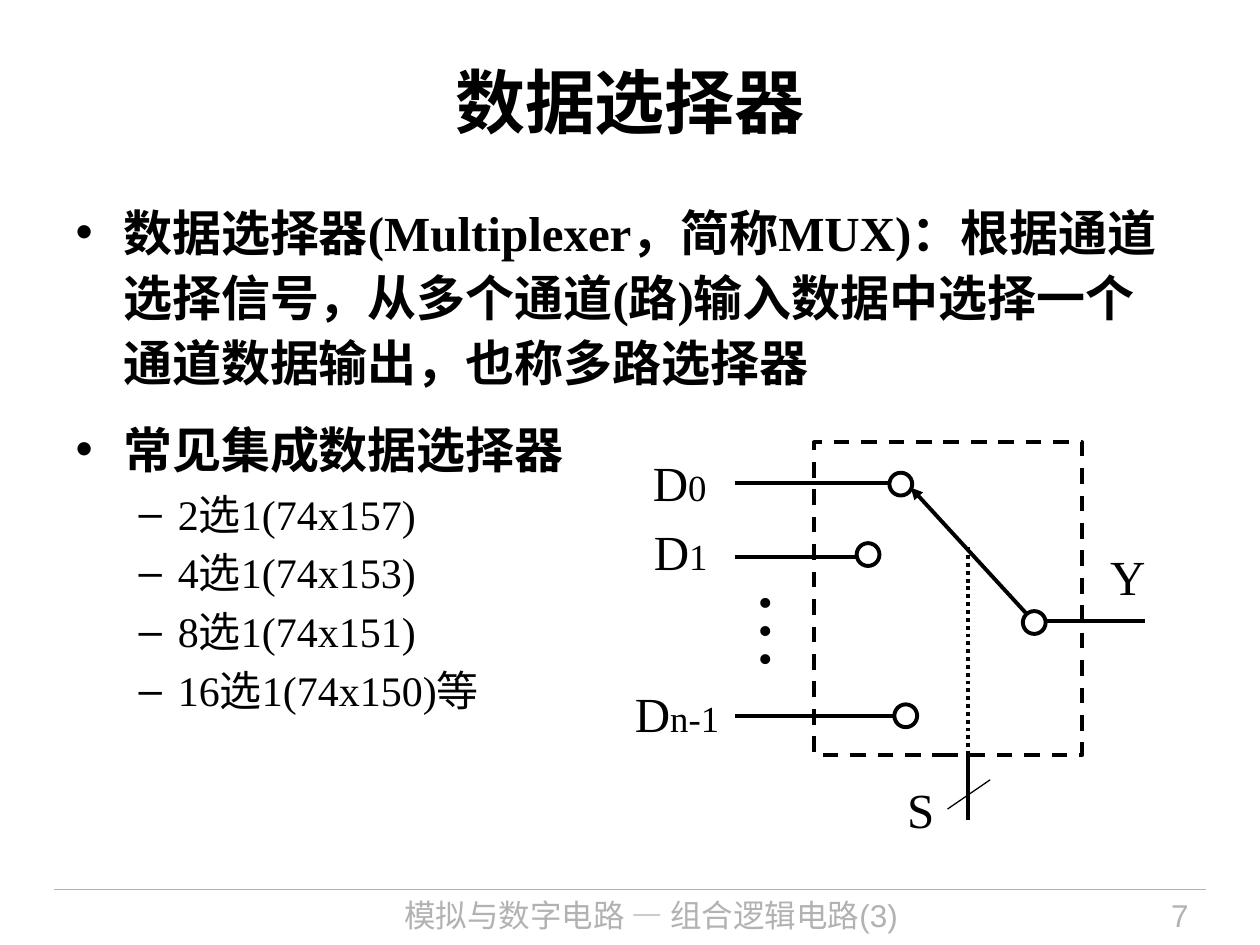
from dataclasses import dataclass

from pptx import Presentation
from pptx.dml.color import RGBColor
from pptx.enum import dml, shapes, text
from pptx.oxml import ns, xmlchemy
from pptx.util import Cm, Pt


@dataclass(frozen=True)
class Theme:
    """Colours, fonts, type sizes and line widths of the slide."""
    ink: RGBColor = RGBColor(0, 0, 0)
    paper: RGBColor = RGBColor(255, 255, 255)
    muted: RGBColor = RGBColor(0xB2, 0xB2, 0xB2)
    sans: str = "Arial"
    serif: str = "Times New Roman"
    title: int = 40
    body: int = 28
    item: int = 24
    index: int = 21
    footer: int = 18
    dots: int = 48
    thick: float = 2.25
    thin: float = 0.75


T = Theme()
NODE = 0.46


def element(parent, tag, **attrs):
    """Append a DrawingML element to a parent and return it."""
    e = xmlchemy.OxmlElement(tag)
    for name, value in attrs.items():
        e.set(name, value)
    parent.append(e)
    return e


def place(s, left, top, width, height):
    """Set the position and size of a shape in centimetres."""
    s.left, s.top, s.width, s.height = Cm(left), Cm(top), Cm(width), Cm(height)


def add_run(p, words, size=T.body, font=T.serif, color=T.ink, bold=False):
    """Add a formatted run to a paragraph."""
    r = p.add_run()
    r.text = words
    r.font.size, r.font.name, r.font.bold = Pt(size), font, bold
    r.font.color.rgb = color
    return r


def add_text(sp, box, words, align=text.PP_ALIGN.LEFT, wrap=True, inset=None, **fmt):
    """Add a text box holding one formatted run and return it."""
    s = sp.add_textbox(*(Cm(v) for v in box))
    tf = s.text_frame
    tf.word_wrap = wrap
    if inset is not None:
        tf.margin_left = tf.margin_top = tf.margin_right = tf.margin_bottom = Cm(inset)
    p = tf.paragraphs[0]
    p.alignment = align
    add_run(p, words, **fmt)
    return s


def add_line(sp, start, end, width=T.thick, color=T.ink, dash=None, arrow=False):
    """Add a straight line, with an optional arrowhead at its start."""
    s = sp.add_connector(shapes.MSO_CONNECTOR.STRAIGHT, *(Cm(v) for v in (*start, *end)))
    s.line.width = Pt(width)
    s.line.color.rgb = color
    if dash:
        s.line.dash_style = dash
    if arrow:
        element(s.line._get_or_add_ln(), "a:headEnd", type="triangle")
    element(s._element.find(ns.qn("p:spPr")), "a:effectLst")
    return s


def add_outline(sp, kind, box, fill=None, dash=None):
    """Add a preset shape with a thick outline."""
    s = sp.add_shape(kind, *(Cm(v) for v in box))
    s.shadow.inherit = False
    s.line.width = Pt(T.thick)
    s.line.color.rgb = T.ink
    if dash:
        s.line.dash_style = dash
    if fill is None:
        s.fill.background()
    else:
        s.fill.solid()
        s.fill.fore_color.rgb = fill
    return s


def fill_title(s, box, words):
    """Place the title placeholder and set its text."""
    place(s, *box)
    tf = s.text_frame
    tf.auto_size = text.MSO_AUTO_SIZE.NONE
    tf.vertical_anchor = text.MSO_ANCHOR.MIDDLE
    p = tf.paragraphs[0]
    p.alignment = text.PP_ALIGN.CENTER
    add_run(p, words, size=T.title, font=T.sans, bold=True)


def fill_list(s, box, items, spacing=1.0):
    """Place a body placeholder and fill it with (level, text) bullets."""
    levels = (("•", 0.96, -0.96, T.body), ("–", 2.06, -0.79, T.item))
    place(s, *box)
    tf = s.text_frame
    tf.auto_size = text.MSO_AUTO_SIZE.NONE
    for i, (level, words) in enumerate(items):
        mark, margin, indent, size = levels[level]
        p = tf.paragraphs[0] if i == 0 else tf.add_paragraph()
        p.level = level
        p.line_spacing = spacing
        p.space_before, p.space_after = Pt(0), Pt(size * 0.2)
        pPr = p._p.get_or_add_pPr()
        pPr.set("marL", str(Cm(margin)))
        pPr.set("indent", str(Cm(indent)))
        element(pPr, "a:buChar", char=mark)
        add_run(p, words, size=size, bold=level == 0)


def draw_footer(sp, box, words, number):
    """Draw the footer rule, the course name and the page number."""
    x, y, w, h = box
    fmt = dict(size=T.footer, font=T.sans, color=T.muted)
    add_line(sp, (x, y), (x + w, y), width=T.thin, color=T.muted)
    add_text(sp, (x + 5.23, y, 13.61, h), words, align=text.PP_ALIGN.CENTER, **fmt)
    add_text(sp, (x + 19.74, y, 3.38, h), number, align=text.PP_ALIGN.RIGHT, **fmt)


def draw_multiplexer(sp, box):
    """Draw the channels, selector switch, output and select line."""
    x, y, w, h = box
    oval, dashes = shapes.MSO_SHAPE.OVAL, dml.MSO_LINE
    frame_x, frame_w, frame_h = 3.61, 5.41, 6.3
    select_x, output_y = 6.71, 3.6
    channels = (
        ("0", 0.36, 0.2, 1.09, 0.81, 5.13, 0.61),
        ("1", 0.38, 1.6, 1.09, 2.31, 4.47, 2.03),
        ("n-1", 0, 4.85, 1.7, 5.51, 5.23, 5.28),
    )

    def at(dx, dy):
        """Return a point relative to the box."""
        return x + dx, y + dy

    add_line(sp, at(8.21, output_y), at(w, output_y))
    add_line(sp, at(5.56, 0.91), at(8.03, output_y), arrow=True)
    for index, label_x, label_y, label_w, line_y, node_x, node_y in channels:
        s = add_text(sp, (*at(label_x, label_y), label_w, 1.19), "D", wrap=False, inset=0)
        add_run(s.text_frame.paragraphs[0], index, size=T.index)
        add_line(sp, at(2.01, line_y), at(frame_x, line_y))
        add_line(sp, at(3.4, line_y), at(node_x + 0.08, line_y))
        add_outline(sp, oval, (*at(node_x, node_y), NODE, NODE), fill=T.paper)
    add_outline(sp, oval, (*at(7.82, 3.4), NODE, NODE), fill=T.paper)
    s = add_text(sp, (*at(0.94, 2.66), 2.21, 2.29), "…", wrap=False, size=T.dots)
    s.rotation = 270
    add_text(sp, (*at(9.58, 2.1), 0.71, 1.19), "Y", wrap=False, inset=0)
    add_text(sp, (*at(5.49, 6.8), 0.81, 1.19), "S", inset=0)
    add_line(sp, at(select_x, frame_h), at(select_x, 2.1), dash=dashes.ROUND_DOT)
    add_outline(sp, shapes.MSO_SHAPE.RECTANGLE, (*at(frame_x, 0), frame_w, frame_h),
                dash=dashes.DASH)
    add_line(sp, at(select_x, h), at(select_x, frame_h))
    add_line(sp, at(6.3, 7.39), at(7.16, 6.8), width=T.thin)


def main():
    """Build the slide and save it."""
    prs = Presentation()
    prs.slide_width, prs.slide_height = Cm(25.4), Cm(19.05)
    slide = prs.slides.add_slide(prs.slide_layouts[3])
    sp = slide.shapes
    title, definition, devices = slide.placeholders
    draw_footer(sp, (1.09, 17.93, 23.22, 1.12), "模拟与数字电路 — 组合逻辑电路(3)", "7")
    fill_title(title, (1.27, 0.43, 22.86, 3.18), "数据选择器")
    fill_list(definition, (1.27, 3.84, 22.73, 4.5), [
        (0, "数据选择器(Multiplexer，简称MUX)：根据通道选择信号，"
            "从多个通道(路)输入数据中选择一个通道数据输出，也称多路选择器"),
    ], spacing=1.1)
    fill_list(devices, (1.27, 8.33, 10.64, 9.5), [
        (0, "常见集成数据选择器"),
        (1, "2选1(74x157)"),
        (1, "4选1(74x153)"),
        (1, "8选1(74x151)"),
        (1, "16选1(74x150)等"),
    ])
    draw_multiplexer(sp, (12.8, 8.92, 10.29, 7.62))
    prs.save("out.pptx")


if __name__ == "__main__":
    main()
